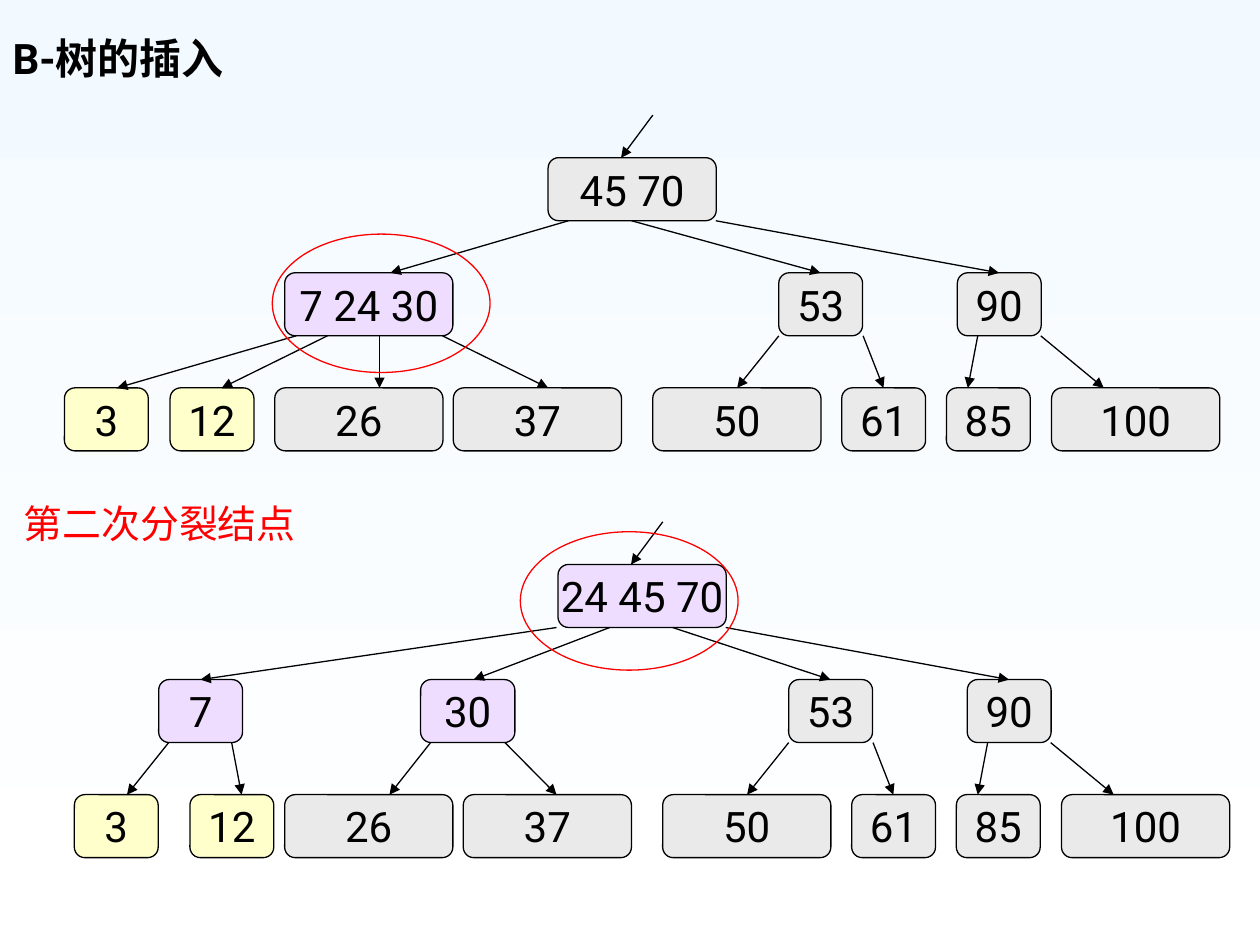
import pptx
import pptx.util
import pptx.dml.color
import pptx.enum.shapes
import pptx.enum.text
import pptx.oxml
import pptx.oxml.ns

Cm, Pt = pptx.util.Cm, pptx.util.Pt
RGBColor = pptx.dml.color.RGBColor
SHAPE = pptx.enum.shapes.MSO_SHAPE
ANCHOR = pptx.enum.text.MSO_ANCHOR
ALIGN = pptx.enum.text.PP_ALIGN

BLACK = RGBColor(0x00, 0x00, 0x00)
RED = RGBColor(0xFF, 0x00, 0x00)
GREY = RGBColor(0xEA, 0xEA, 0xEA)
VIOLET = RGBColor(0xEE, 0xDD, 0xFF)
YELLOW = RGBColor(0xFF, 0xFF, 0xCC)
SKY = RGBColor(0xF3, 0xFA, 0xFF)
WHITE = RGBColor(0xFF, 0xFF, 0xFF)
FONT = "Roboto"

# Content: lengths in centimetres, measured from the corner of each tree
TITLE = "B-树的插入"
CAPTION = "第二次分裂结点"
NARROW, MEDIUM, WIDE = 1.69, 1.9, 3.39
NODE_HEIGHT, LEVEL_STEP, ENTRY_LENGTH = 1.27, 2.32, 0.86
RING_SIZE = (4.39, 2.79)

# Nodes: level, left, width, keys, fill
SHARED_NODES = [
    (1, 15.7, NARROW, "53", GREY),
    (1, 19.3, NARROW, "90", GREY),
    (2, 1.3, NARROW, "3", YELLOW),
    (2, 5.54, WIDE, "26", GREY),
    (2, 9.14, WIDE, "37", GREY),
    (2, 13.16, WIDE, "50", GREY),
    (2, 16.97, NARROW, "61", GREY),
    (2, 19.08, NARROW, "85", GREY),
    (2, 21.2, WIDE, "100", GREY),
]
# Arrows: level of the parent, start x, end x (level -1 leads to the root)
SHARED_ARROWS = [
    (-1, 13.16, 12.52), (0, 14.43, 20.14),
    (1, 15.7, 14.86), (1, 17.4, 17.81), (1, 19.71, 19.51), (1, 20.98, 22.25),
]
TREES = [
    {
        "origin": (0, 3.18),
        "nodes": [
            (0, 11.05, WIDE, "45 70", GREY),
            (1, 5.74, WIDE, "7 24 30", VIOLET),
            (2, 3.43, NARROW, "12", YELLOW),
        ],
        "arrows": [
            (0, 11.46, 7.87), (0, 12.73, 16.54), (1, 5.97, 2.36),
            (1, 6.6, 4.47), (1, 7.65, 7.65), (1, 8.92, 11.05),
        ],
        "ring": (5.49, 1.54),
    },
    {
        "origin": (0.2, 11.38),
        "nodes": [
            (0, 11.05, WIDE, "24 45 70", VIOLET),
            (1, 3.0, NARROW, "7", VIOLET),
            (1, 8.28, MEDIUM, "30", VIOLET),
            (2, 3.63, NARROW, "12", YELLOW),
        ],
        "arrows": [
            (0, 11.02, 3.84), (0, 12.09, 9.35), (0, 13.36, 16.54),
            (1, 3.2, 2.36), (1, 4.47, 4.67), (1, 8.48, 7.65), (1, 9.98, 11.02),
        ],
        "ring": (10.29, -0.66),
    },
]


def write_text(shape, text, size=24, color=BLACK, bold=False, align=ALIGN.LEFT,
               anchor=ANCHOR.MIDDLE, wrap=True, line_spacing=1.0):
    frame = shape.text_frame
    frame.word_wrap = wrap
    frame.auto_size = pptx.enum.text.MSO_AUTO_SIZE.NONE
    frame.vertical_anchor = anchor
    paragraph = frame.paragraphs[0]
    paragraph.alignment = align
    paragraph.line_spacing = line_spacing
    run = paragraph.add_run()
    run.text = text
    run.font.name = FONT
    run.font.size = Pt(size)
    run.font.bold = bold
    run.font.color.rgb = color


def add_outlined(shapes, kind, left, top, width, height, line, fill=None):
    shape = shapes.add_shape(kind, Cm(left), Cm(top), Cm(width), Cm(height))
    shape.shadow.inherit = False
    if fill is None:
        shape.fill.background()
    else:
        shape.fill.solid()
        shape.fill.fore_color.rgb = fill
    shape.line.color.rgb = line
    shape.line.width = Pt(0.75)
    return shape


def add_arrow(shapes, start_x, start_y, end_x, end_y):
    connector = shapes.add_connector(
        pptx.enum.shapes.MSO_CONNECTOR.STRAIGHT,
        Cm(start_x), Cm(start_y), Cm(end_x), Cm(end_y))
    connector.line.color.rgb = BLACK
    connector.line.width = Pt(0.75)
    properties = connector.element.spPr
    line = properties.find(pptx.oxml.ns.qn("a:ln"))
    namespace = pptx.oxml.ns.nsdecls("a")
    line.append(pptx.oxml.parse_xml(f'<a:tailEnd {namespace} type="triangle"/>'))
    properties.append(pptx.oxml.parse_xml(f"<a:effectLst {namespace}/>"))


def add_tree(slide, tree):
    origin_x, origin_y = tree["origin"]
    shapes = slide.shapes.add_group_shape().shapes
    for level, left, width, keys, fill in tree["nodes"] + SHARED_NODES:
        node = add_outlined(shapes, SHAPE.ROUNDED_RECTANGLE, origin_x + left,
                            origin_y + level * LEVEL_STEP, width, NODE_HEIGHT,
                            BLACK, fill)
        write_text(node, keys, align=ALIGN.CENTER, wrap=False)
    for level, start_x, end_x in tree["arrows"] + SHARED_ARROWS:
        end_y = origin_y + (level + 1) * LEVEL_STEP
        length = ENTRY_LENGTH if level < 0 else LEVEL_STEP - NODE_HEIGHT
        add_arrow(shapes, origin_x + start_x, end_y - length,
                  origin_x + end_x, end_y)


def main():
    presentation = pptx.Presentation()
    presentation.slide_width, presentation.slide_height = Cm(25.4), Cm(19.05)
    slide = presentation.slides.add_slide(presentation.slide_layouts[5])

    # Background, running from top to bottom
    background = slide.background.fill
    background.gradient()
    background.gradient_angle = 270
    for stop, color in zip(background.gradient_stops, (SKY, WHITE)):
        stop.color.rgb = color

    # Title
    title = slide.shapes.title
    title.left, title.top, title.width, title.height = Cm(0), Cm(0), Cm(21.64), Cm(1.8)
    write_text(title, TITLE, bold=True, anchor=ANCHOR.BOTTOM)

    # Caption of the second tree
    caption = slide.shapes.add_textbox(Cm(0.23), Cm(10.13), Cm(8.46), Cm(1.07))
    write_text(caption, CAPTION, size=22.2, color=RED, anchor=ANCHOR.TOP,
               line_spacing=0.8)

    # Trees, then the rings around the nodes that split
    for tree in TREES:
        add_tree(slide, tree)
    for tree in TREES:
        left, top = (a + b for a, b in zip(tree["origin"], tree["ring"]))
        add_outlined(slide.shapes, SHAPE.OVAL, left, top, *RING_SIZE, RED)

    presentation.save("out.pptx")


if __name__ == "__main__":
    main()
